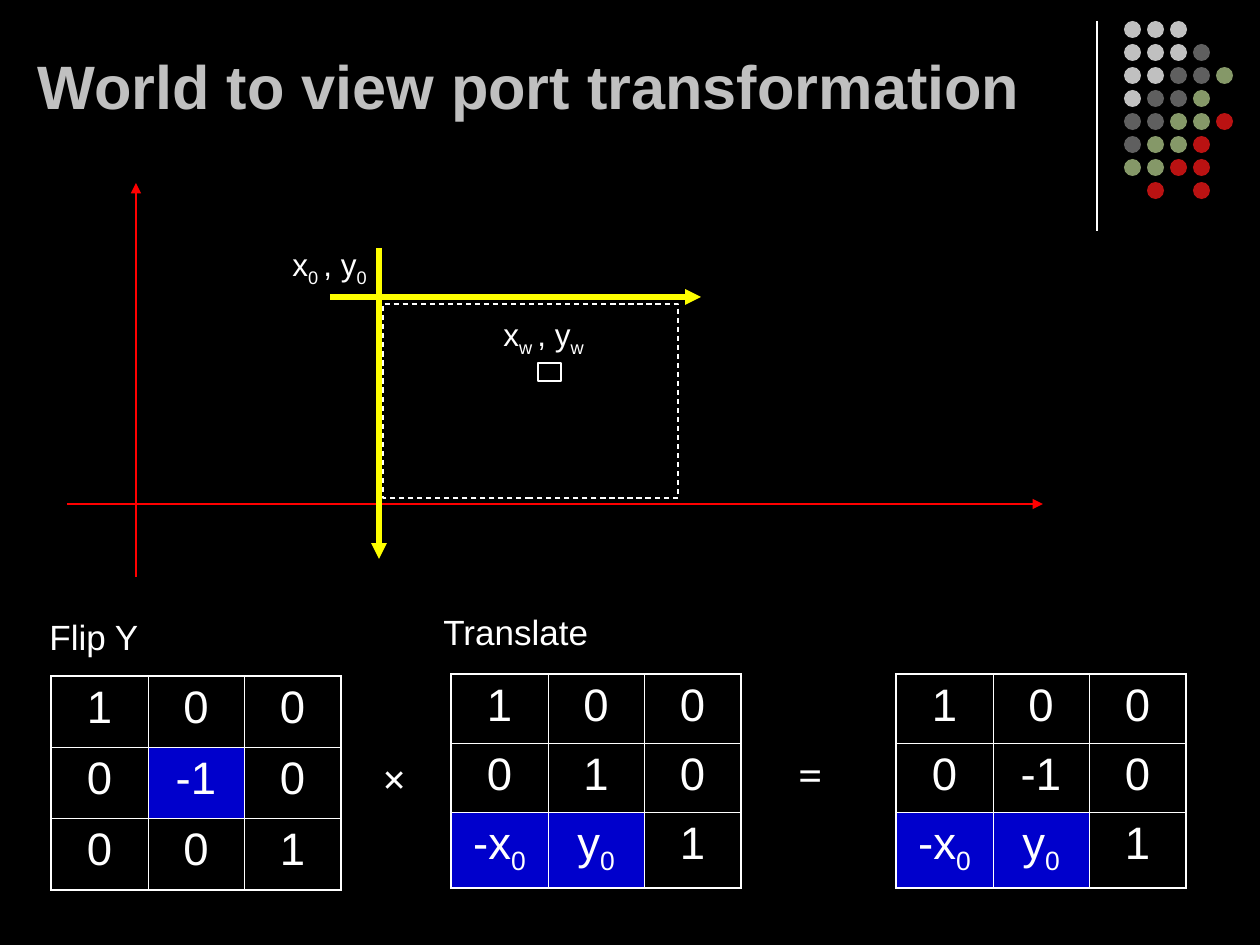
from dataclasses import dataclass

from pptx import Presentation
from pptx.dml.color import RGBColor
from pptx.enum.dml import MSO_LINE
from pptx.enum.shapes import MSO_CONNECTOR, MSO_SHAPE
from pptx.enum.text import MSO_ANCHOR, MSO_AUTO_SIZE, PP_ALIGN
from pptx.oxml import parse_xml
from pptx.oxml.ns import nsdecls, qn
from pptx.oxml.xmlchemy import OxmlElement
from pptx.util import Emu, Pt

WHITE, SILVER, GRAY = "FFFFFF", "C0C0C0", "5F5F5F"
GREEN, CRIMSON = "859968", "BA1212"
GREEN = "859868"
RED, YELLOW, BLUE, BLACK = "FF0000", "FFFF00", "0000CC", "000000"
SANS, SERIF = "Arial", "Times New Roman"


@dataclass
class Label:
    """Text in which every second part between bars is a subscript."""
    text: str
    left: int
    top: int
    width: int
    height: int
    size: int
    space_before: float
    font: str = SANS
    bold: bool = False
    color: str = WHITE
    anchor: MSO_ANCHOR = MSO_ANCHOR.TOP
    grows: bool = True


@dataclass
class Line:
    start: tuple[int, int]
    end: tuple[int, int]
    color: str
    weight: float
    arrow: bool = True


@dataclass
class Matrix:
    left: int
    top: int
    row_heights: tuple[int, ...]
    values: list[list[str]]
    highlighted: set[tuple[int, int]]


def px(length: int) -> Emu:
    return Emu(round(length * 914400 / 126))


def rgb(color: str) -> RGBColor:
    return RGBColor.from_string(color)


def write(paragraph, text: str, size: int, space_before: float,
          font: str = SANS, bold: bool = False, color: str = WHITE) -> None:
    paragraph.space_before = Pt(space_before)
    for index, part in enumerate(text.split("|")):
        run = paragraph.add_run()
        run.text = part
        run.font.size, run.font.name, run.font.bold = Pt(size), font, bold
        run.font.color.rgb = rgb(color)
        if index % 2:
            run.font._element.set("baseline", "-25000")


def draw_label(slide, label: Label) -> None:
    box = slide.shapes.add_textbox(
        px(label.left), px(label.top), px(label.width), px(label.height))
    frame = box.text_frame
    frame.word_wrap = True
    frame.vertical_anchor = label.anchor
    if label.grows:
        frame.auto_size = MSO_AUTO_SIZE.SHAPE_TO_FIT_TEXT
    write(frame.paragraphs[0], label.text, label.size, label.space_before,
          label.font, label.bold, label.color)


def draw_line(slide, line: Line) -> None:
    connector = slide.shapes.add_connector(
        MSO_CONNECTOR.STRAIGHT, *map(px, line.start + line.end))
    connector.line.color.rgb = rgb(line.color)
    connector.line.width = Pt(line.weight)
    if line.arrow:
        head = OxmlElement("a:tailEnd")
        head.set("type", "triangle")
        connector.line._get_or_add_ln().append(head)
    connector._element.spPr.append(OxmlElement("a:effectLst"))


def draw_outline(slide, left: int, top: int, width: int, height: int,
                 dashed: bool = False) -> None:
    outline = slide.shapes.add_shape(
        MSO_SHAPE.RECTANGLE, px(left), px(top), px(width), px(height))
    outline.shadow.inherit = False
    outline.fill.background()
    outline.line.color.rgb = rgb(WHITE)
    outline.line.width = Pt(0.75)
    if dashed:
        outline.line.dash_style = MSO_LINE.DASH


def draw_dot(slide, left: int, top: int, size: int, color: str) -> None:
    dot = slide.shapes.add_shape(
        MSO_SHAPE.OVAL, px(left), px(top), px(size), px(size))
    dot.shadow.inherit = False
    dot.fill.solid()
    dot.fill.fore_color.rgb = rgb(color)
    dot.line.fill.background()


def set_borders(cell, outer_sides: dict[str, bool]) -> None:
    properties = cell._tc.get_or_add_tcPr()
    for index, (side, is_outer) in enumerate(outer_sides.items()):
        width = Pt(1.08 if is_outer else 0.45)
        properties.insert(index, parse_xml(
            f'<a:ln{side} {nsdecls("a")} w="{width}"><a:solidFill>'
            f'<a:srgbClr val="{WHITE}"/></a:solidFill></a:ln{side}>'))


def draw_matrix(slide, matrix: Matrix) -> None:
    column_widths = (97, 96, 97)
    table = slide.shapes.add_table(
        3, 3, px(matrix.left), px(matrix.top),
        px(sum(column_widths)), px(sum(matrix.row_heights))).table
    table.first_row = table.horz_banding = False
    for column, width in zip(table.columns, column_widths):
        column.width = px(width)
    for row, height in zip(table.rows, matrix.row_heights):
        row.height = px(height)
    for r, row_values in enumerate(matrix.values):
        for c, value in enumerate(row_values):
            cell = table.cell(r, c)
            if (r, c) in matrix.highlighted:
                cell.fill.solid()
                cell.fill.fore_color.rgb = rgb(BLUE)
            else:
                cell.fill.background()
            set_borders(cell, {"L": c == 0, "R": c == 2, "T": r == 0, "B": r == 2})
            paragraph = cell.text_frame.paragraphs[0]
            paragraph.alignment = PP_ALIGN.CENTER
            write(paragraph, value, 26, 6.5)


def main() -> None:
    presentation = Presentation()
    presentation.slide_width, presentation.slide_height = px(1260), px(945)
    slide = presentation.slides.add_slide(presentation.slide_layouts[6])
    slide.background.fill.solid()
    slide.background.fill.fore_color.rgb = rgb(BLACK)

    # Corner decoration: divider and dot grid
    draw_line(slide, Line((1097, 21), (1097, 231), WHITE, 0.75, arrow=False))
    dot_colors = {"s": SILVER, "g": GRAY, "o": GREEN, "c": CRIMSON}
    dot_rows = ["sss", "sssg", "ssggo", "sggo", "ggooc", "gooc", "oocc", " c c"]
    for r, dot_row in enumerate(dot_rows):
        for c, key in enumerate(dot_row):
            if key in dot_colors:
                draw_dot(slide, 1124 + 23 * c, 21 + 23 * r, 17, dot_colors[key])

    # Title
    draw_label(slide, Label("World to view port transformation", 25, 16, 1040, 112,
                            35, 0, bold=True, color=SILVER,
                            anchor=MSO_ANCHOR.BOTTOM, grows=False))

    # World axes in red, view port axes in yellow
    draw_outline(slide, 383, 304, 295, 194, dashed=True)
    for axis in (Line((136, 577), (136, 183), RED, 0.75),
                 Line((67, 504), (1043, 504), RED, 0.75),
                 Line((379, 248), (379, 559), YELLOW, 3),
                 Line((330, 297), (701, 297), YELLOW, 3)):
        draw_line(slide, axis)
    draw_outline(slide, 538, 363, 23, 18)

    # Point names, matrix captions and operators
    for label in (Label("x|0 |, y|0", 280, 239, 141, 55, 18, 11.2),
                  Label("x|w |, y|w", 491, 309, 141, 55, 18, 11.2),
                  Label("Flip Y", 37, 609, 295, 55, 20, 12.5),
                  Label("Translate", 431, 604, 387, 55, 20, 12.5),
                  Label("×", 370, 746, 57, 63, 24, 15, SERIF, True),
                  Label("=", 786, 742, 57, 63, 24, 15, SERIF, True)):
        draw_label(slide, label)

    # Matrix product
    first_row, offset_row = ["1", "0", "0"], ["-x|0", "y|0", "1"]
    offset_cells = {(2, 0), (2, 1)}
    flip_row = ["0", "-1", "0"]
    for matrix in (
            Matrix(51, 676, (71, 71, 72),
                   [first_row, flip_row, ["0", "0", "1"]], {(1, 1)}),
            Matrix(451, 674, (69, 69, 76),
                   [first_row, ["0", "1", "0"], offset_row], offset_cells),
            Matrix(896, 674, (69, 69, 76),
                   [first_row, flip_row, offset_row], offset_cells)):
        draw_matrix(slide, matrix)

    presentation.save("out.pptx")


if __name__ == "__main__":
    main()
